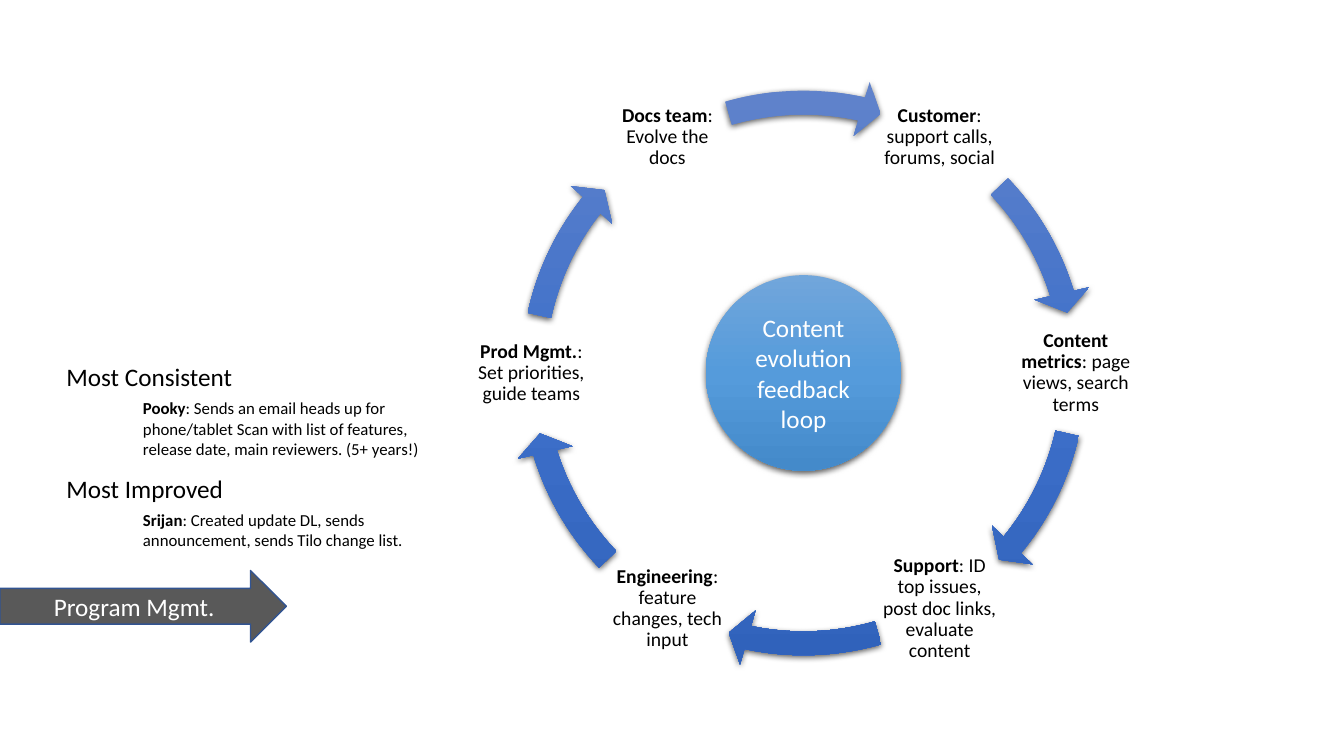
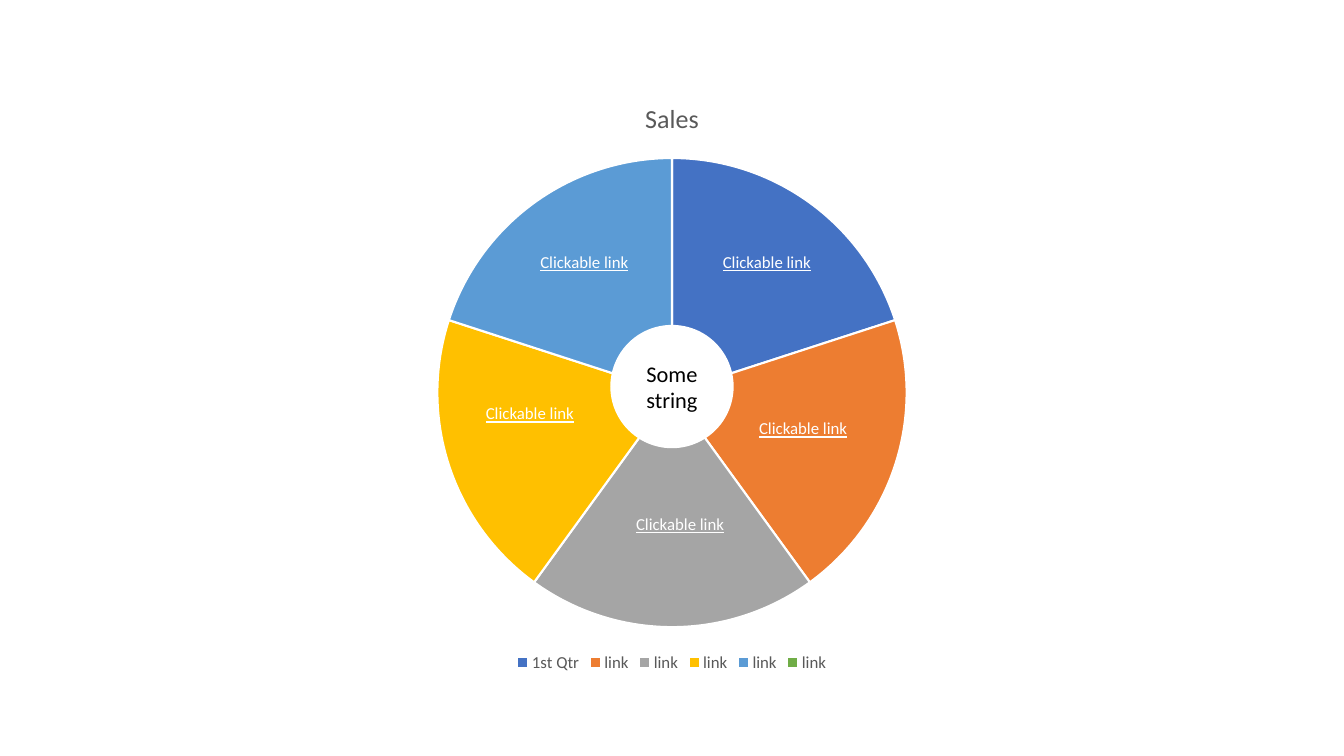
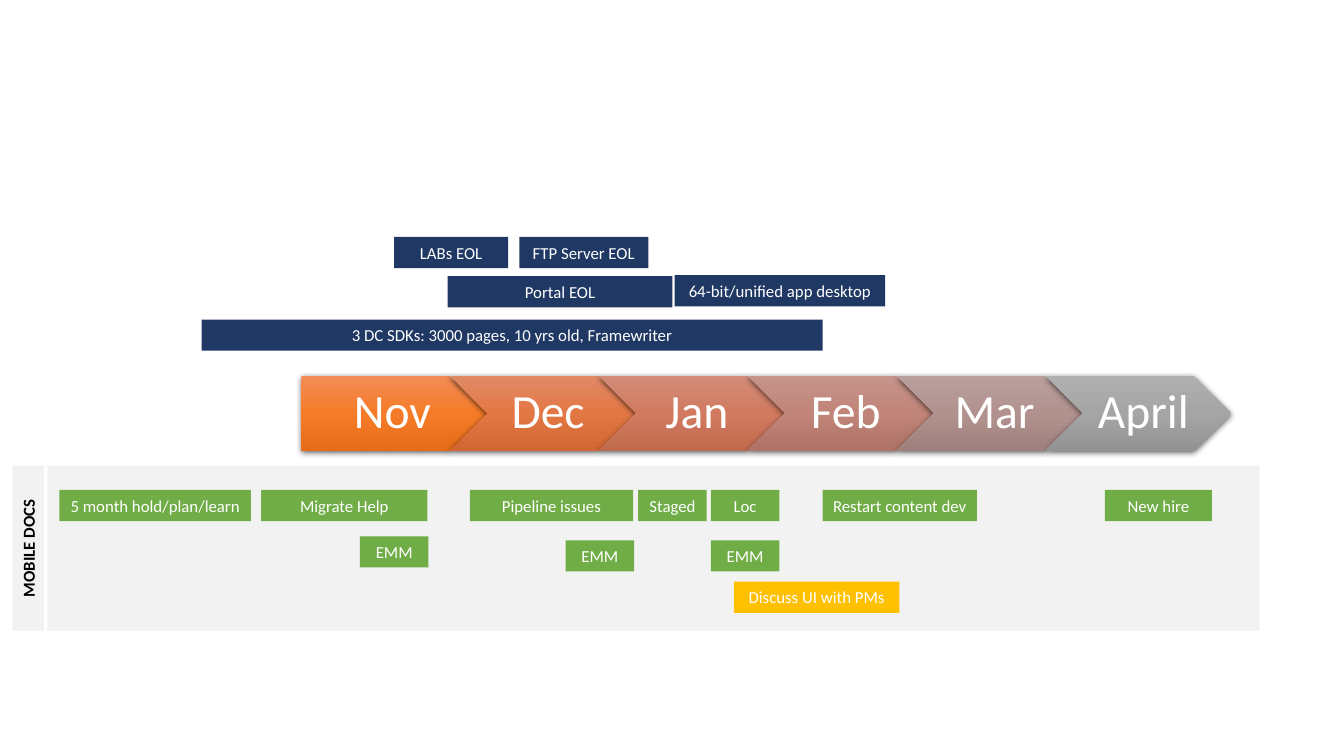
from math import cos, radians, sin

from lxml.etree import SubElement
from pptx import Presentation
from pptx.chart.data import CategoryChartData
from pptx.dml.color import RGBColor
from pptx.enum.chart import XL_CHART_TYPE as ChartType, XL_LEGEND_POSITION as LegendPosition
from pptx.enum.shapes import MSO_SHAPE as Shape
from pptx.enum.text import MSO_ANCHOR as Anchor, PP_ALIGN as Align
from pptx.oxml.ns import qn
from pptx.util import Pt

PX = 9144  # one hundredth of an inch
FONT = "Calibri"
COLORS = {
    "white": "FFFFFF", "black": "000000", "gray_text": "595959", "panel": "F2F2F2",
    "navy": "203864", "green": "70AD47", "gold": "FFC000", "arrow_edge": "325491",
    "blue": "4472C4", "orange": "ED7D31", "gray": "A5A5A5", "sky": "5B9BD5",
}
GRADIENTS = {
    "loop": ("6183CB", "3E70CA", "3062BB"),
    "hub": ("71A6DB", "559BDB", "448ACA"),
    "Nov": ("F18C57", "F67B28", "E56C19"),
    "Dec": ("E18A66", "E37744", "D26734"),
    "Jan": ("D28C78", "D17A5F", "C06A4E"),
    "Feb": ("C5948B", "C18478", "AF7267"),
    "Mar": ("B9A09D", "B2928F", "A0807D"),
    "April": ("AFAFAF", "A5A5A5", "939393"),
}

# lead, rest, start and end angle of the arrow that follows
STAGES = [
    ("Customer", ": support calls, forums, social", 316.4, 342.9),
    ("Content metrics", ": page views, search terms", 12.9, 39.5),
    ("Support", ": ID top issues, post doc links, evaluate content", 74, 101.9),
    ("Engineering", ": feature changes, tech input", 136.4, 162.9),
    ("Prod Mgmt.", ": Set priorities, guide teams", 192.3, 218.4),
    ("Docs team", ": Evolve the docs", 253.9, 282.4),
]
# heading, name, reason, top, width and height of the reason
AWARDS = [
    ("Most Consistent", "Pooky", ": Sends an email heads up for phone/tablet Scan with list of "
     "features, release date, main reviewers. (5+ years!)", 0, 303, 71),
    ("Most Improved", "Srijan", ": Created update DL, sends announcement, sends Tilo "
     "change list.", 111, 284, 50),
]
SLICES = [("1st Qtr", 20, "blue"), ("link", 20, "orange"), ("link", 20, "gray"),
          ("link", 20, "gold"), ("link", 20, "sky"), ("link", None, "green")]
LINK_PLACES = [(304, 167), (399, 427), (521, 332), (250, 317), (485, 167)]
MONTHS = ["Nov", "Dec", "Jan", "Feb", "Mar", "April"]
# text, left, top, width, colour
PRODUCT_TASKS = [
    ("LABs EOL", 191, 0, 113, "navy"),
    ("FTP Server EOL", 315, 0, 128, "navy"),
    ("Portal EOL", 244, 39, 223, "navy"),
    ("64-bit/unified app desktop", 469, 38, 209, "navy"),
    ("3 DC SDKs: 3000 pages, 10 yrs old, Framewriter", 0, 82, 616, "navy"),
]
DOCS_TASKS = [
    ("5 month hold/plan/learn", 12, 24, 190, "green"),
    ("Migrate Help", 212, 24, 165, "green"),
    ("Pipeline issues", 419, 24, 162, "green"),
    ("Staged", 586, 24, 68, "green"),
    ("Loc", 658, 24, 68, "green"),
    ("Restart content dev", 769, 24, 153, "green"),
    ("New hire", 1049, 24, 106, "green"),
    ("EMM", 310, 70, 68, "green"),
    ("EMM", 514, 74, 68, "green"),
    ("EMM", 658, 74, 68, "green"),
    ("Discuss UI with PMs", 681, 115, 164, "gold"),
]


def rgb(name):
    return RGBColor.from_string(COLORS[name])


def px(*lengths):
    return [round(length * PX) for length in lengths]


def style_font(font, size, color, **flags):
    font.name, font.size, font.color.rgb = FONT, Pt(size), rgb(color)
    for flag, value in flags.items():
        setattr(font, flag, value)


def write(shape, text, lead="", size=12, color="white", align=Align.CENTER, anchor=Anchor.MIDDLE,
          bold=False, underline=False, wrap=True, insets=(10, 5, 10, 5), spacing=None):
    """Fill a shape with one paragraph; lead is a bold opening run."""
    frame = shape.text_frame
    frame.word_wrap, frame.vertical_anchor = wrap, anchor
    (frame.margin_left, frame.margin_top,
     frame.margin_right, frame.margin_bottom) = px(*insets)
    paragraph = frame.paragraphs[0]
    paragraph.alignment, paragraph.line_spacing = align, spacing
    for content, heavy in ((lead, True), (text, bold)):
        if content:
            run = paragraph.add_run()
            run.text = content
            style_font(run.font, size, color, bold=heavy, underline=underline)
    return shape


def add_label(slide, box, text, **text_format):
    return write(slide.shapes.add_textbox(*px(*box)), text, **text_format)


def add_block(slide, kind, box, fill=None, line=None):
    shape = slide.shapes.add_shape(kind, *px(*box))
    shape.shadow.inherit = False
    if fill:
        shape.fill.solid()
        shape.fill.fore_color.rgb = rgb(fill)
    if line:
        shape.line.color.rgb = rgb(line)
        shape.line.width = Pt(1)
    else:
        shape.line.fill.background()
    return shape


def add_glossy(slide, kind, box, gradient):
    """Add a shape with a downward three-stop gradient and a soft shadow."""
    shape = add_block(slide, kind, box)
    shape.fill.gradient()
    shape.fill.gradient_angle = 270
    properties = shape._element.spPr
    stops = properties.find(".//" + qn("a:gsLst"))
    for stop in list(stops):
        stops.remove(stop)
    for position, value in zip((0, 50000, 100000), GRADIENTS[gradient]):
        stop = SubElement(stops, qn("a:gs"), pos=str(position))
        SubElement(stop, qn("a:srgbClr"), val=value)
    shadow = SubElement(properties.find(qn("a:effectLst")), qn("a:outerShdw"),
                        blurRad=str(Pt(4.5)), dist=str(Pt(1.5)), dir="5400000",
                        algn="ctr", rotWithShape="0")
    shade = SubElement(shadow, qn("a:srgbClr"), val=COLORS["black"])
    SubElement(shade, qn("a:alpha"), val="63000")
    return shape


def square(center_x, center_y, side):
    return center_x - side / 2, center_y - side / 2, side, side


def add_feedback_loop(slide, left, top, side):
    center_x, center_y, radius = left + side / 2, top + side / 2, 270
    for index, (lead, text, start, end) in enumerate(STAGES):
        angle = radians(60 * index - 60)
        label = square(center_x + radius * cos(angle), center_y + radius * sin(angle), 121)
        add_label(slide, label, text, lead=lead, size=14, color="black",
                  insets=(2, 2, 2, 2), spacing=0.9)
        arrow = add_glossy(slide, Shape.CIRCULAR_ARROW, (left, top, side, side), "loop")
        # angles are stored in 60000ths of a degree, adjustments in 100000ths
        for number, value in enumerate((0.04, 4.17 * 0.6, end * 0.6, start * 0.6, 4.7 / 100)):
            arrow.adjustments[number] = value
    hub = add_glossy(slide, Shape.OVAL, square(center_x, center_y, 194), "hub")
    write(hub, "Content evolution feedback loop", size=18)


def add_awards(slide, left, top):
    plain = {"color": "black", "align": Align.LEFT, "anchor": Anchor.TOP}
    for heading, name, reason, offset, width, height in AWARDS:
        add_label(slide, (left, top + offset, 186, 40), heading, size=18, wrap=False, **plain)
        add_label(slide, (left + 76, top + offset + 36, width, height), reason, lead=name, **plain)


def add_link_pie(slide, left, top, width, height):
    data = CategoryChartData()
    data.categories = [name for name, _, _ in SLICES]
    data.add_series("Sales", [value for _, value, _ in SLICES])
    chart = slide.shapes.add_chart(ChartType.PIE, *px(left, top, width, height), data).chart
    style_font(chart.font, 10, "black")
    chart.has_title = True
    title = chart.chart_title.text_frame
    title.text = "Sales"
    style_font(title.paragraphs[0].runs[0].font, 18.6, "gray_text", bold=False)
    chart.has_legend = True
    chart.legend.position = LegendPosition.BOTTOM
    chart.legend.include_in_layout = False
    style_font(chart.legend.font, 12, "gray_text")
    plot = chart.plots[0]
    plot.vary_by_categories = True
    for index, (_, _, color) in enumerate(SLICES):
        part = plot.series[0].points[index].format
        part.fill.solid()
        part.fill.fore_color.rgb = rgb(color)
        part.line.color.rgb = rgb("white")
        part.line.width = Pt(1.5)
    for link_left, link_top in LINK_PLACES:
        add_label(slide, (left + link_left, top + link_top, 109, 30), "Clickable link",
                  underline=True, wrap=False, align=Align.LEFT, anchor=Anchor.TOP)
    hole = add_block(slide, Shape.OVAL, (left + 384, top + 245, 121, 121), "white", "white")
    write(hole, "Some string", size=16, color="black")


def add_tasks(slide, left, top, tasks):
    for text, task_left, task_top, width, color in tasks:
        box = (left + task_left, top + task_top, width, 31)
        write(add_block(slide, Shape.RECTANGLE, box, color), text)


def add_months(slide, left, top, width, height):
    month_width = 184
    pitch = (width - month_width) / (len(MONTHS) - 1)
    for index, month in enumerate(MONTHS):
        kind, inset = (Shape.CHEVRON, 15) if index else (Shape.PENTAGON, 20)
        box = (left + index * pitch, top, month_width, height)
        write(add_glossy(slide, kind, box, month), month, size=34, wrap=False,
              insets=(inset, 10, 5, 10), spacing=0.9)


def add_docs_lane(slide, left, top, width, height):
    """Add a panel of tasks with its name turned on the left side."""
    add_block(slide, Shape.RECTANGLE, (left, top, width, height), "panel")
    add_tasks(slide, left, top, DOCS_TASKS)
    thickness = 31
    center_x, center_y = left - 19, top + height / 2
    box = (center_x - height / 2, center_y - thickness / 2, height, thickness)
    name = add_block(slide, Shape.RECTANGLE, box, "panel")
    name.rotation = 270
    write(name, "MOBILE DOCS", color="black", bold=True)


def build_loop_slide(slide):
    add_feedback_loop(slide, 501, 74, 592)
    add_awards(slide, 56, 354)
    banner = add_block(slide, Shape.RIGHT_ARROW, (0, 566, 284, 71), "gray_text", "arrow_edge")
    write(banner, "Program Mgmt.", size=18)


def build_pie_slide(slide):
    add_link_pie(slide, 222, 78, 889, 593)


def build_timeline_slide(slide):
    add_docs_lane(slide, 47, 462, 1202, 164)
    add_months(slide, 299, 373, 922, 74)
    add_tasks(slide, 200, 235, PRODUCT_TASKS)


def main():
    presentation = Presentation()
    presentation.slide_width, presentation.slide_height = px(1333, 750)
    for build in (build_loop_slide, build_pie_slide, build_timeline_slide):
        build(presentation.slides.add_slide(presentation.slide_layouts[6]))
    presentation.save("out.pptx")


if __name__ == "__main__":
    main()
